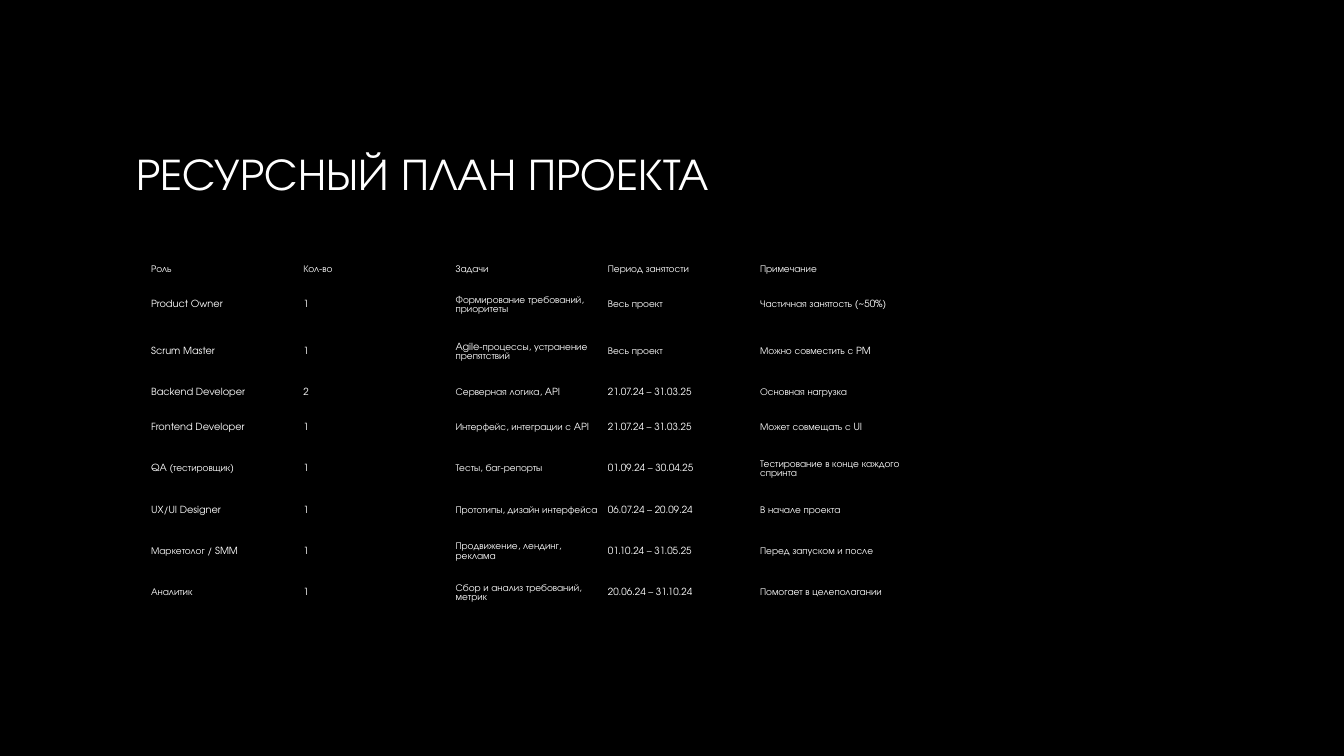
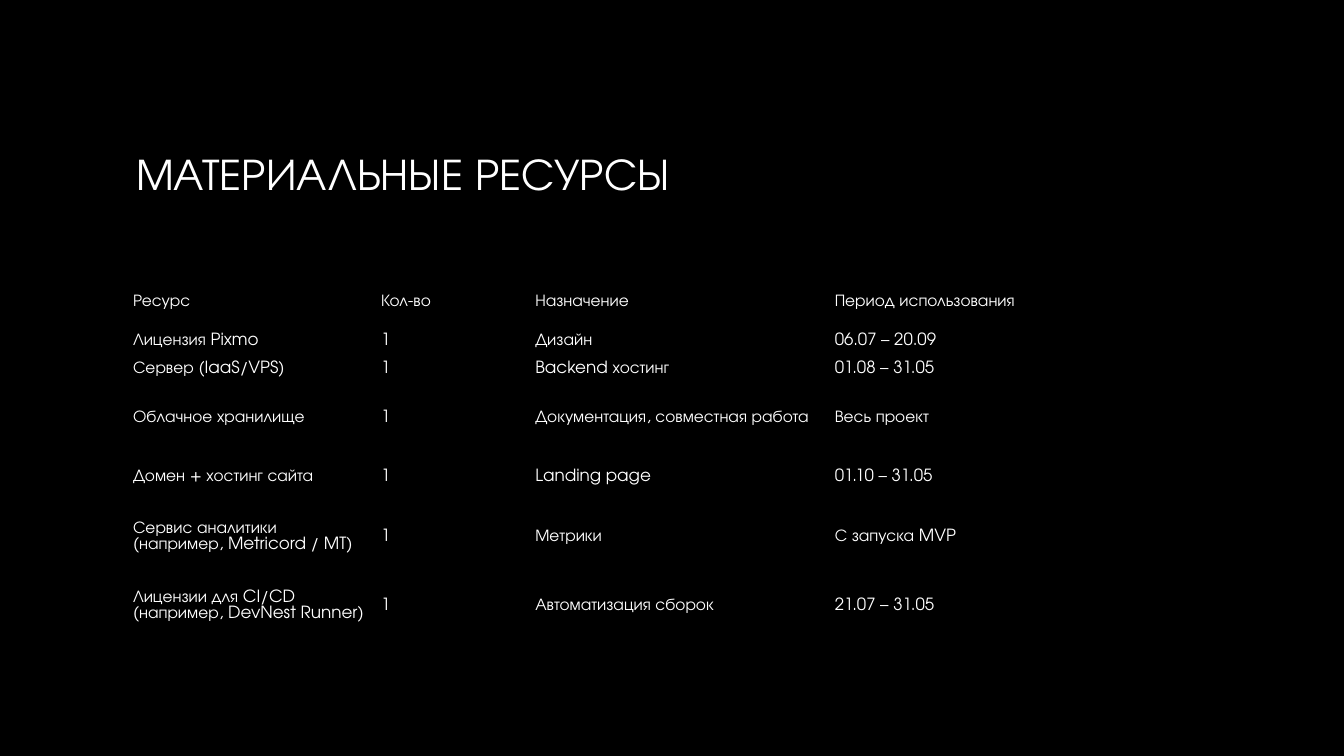
from pptx import Presentation
from pptx.dml.color import RGBColor
from pptx.enum.text import MSO_ANCHOR, MSO_AUTO_SIZE, PP_ALIGN
from pptx.oxml.ns import qn
from pptx.util import Inches, Pt

MIDDLE = MSO_ANCHOR.MIDDLE
LEFT = PP_ALIGN.LEFT
NO_AUTOFIT = MSO_AUTO_SIZE.NONE

# Shared look
FONT = "TeX Gyre Adventor"
BLACK, WHITE, GREY = "000000", "FFFFFF", "A6A6A6"
TITLE_ONLY = 5
TITLE_AREA = (1.25, 0.67, 10.83, 2.08)
PLAIN_TABLE_STYLE = "{2D5ABB26-0587-4C30-8999-92F81FD0307C}"
LINE_RATIO = 0.93

# Slide content
TEAM_ROWS = [
    ("Роль", "Кол-во", "Задачи", "Период занятости", "Примечание"),
    ("Product Owner", "1", "Формирование требований, приоритеты",
     "Весь проект", "Частичная занятость (~50%)"),
    ("Scrum Master", "1", "Agile-процессы, устранение препятствий",
     "Весь проект", "Можно совместить с PM"),
    ("Backend Developer", "2", "Серверная логика, API",
     "21.07.24 – 31.03.25", "Основная нагрузка"),
    ("Frontend Developer", "1", "Интерфейс, интеграции с API",
     "21.07.24 – 31.03.25", "Может совмещать с UI"),
    ("QA (тестировщик)", "1", "Тесты, баг-репорты",
     "01.09.24 – 30.04.25", "Тестирование в конце каждого спринта"),
    ("UX/UI Designer", "1", "Прототипы, дизайн интерфейса",
     "06.07.24 – 20.09.24", "В начале проекта"),
    ("Маркетолог / SMM", "1", "Продвижение, лендинг, реклама",
     "01.10.24 – 31.05.25", "Перед запуском и после"),
    ("Аналитик", "1", "Сбор и анализ требований, метрик",
     "20.06.24 – 31.10.24", "Помогает в целеполагании"),
]
RESOURCE_ROWS = [
    ("Ресурс", "Кол-во", "Назначение", "Период использования"),
    ("Лицензия Pixmo", "1", "Дизайн", "06.07 – 20.09"),
    ("Сервер (IaaS/VPS)", "1", "Backend хостинг", "01.08 – 31.05"),
    ("Облачное хранилище", "1", "Документация, совместная работа",
     "Весь проект"),
    ("Домен + хостинг сайта", "1", "Landing page", "01.10 – 31.05"),
    ("Сервис аналитики (например, Metricord / MT)", "1", "Метрики",
     "С запуска MVP"),
    ("Лицензии для CI/CD (например, DevNest Runner)", "1",
     "Автоматизация сборок", "21.07 – 31.05"),
]


def colour(value):
    return RGBColor.from_string(value)


def add_span(para, text, size):
    span = para.add_run()
    span.text = text
    span.font.name = FONT
    span.font.size = Pt(size)
    return span


def add_page(deck, title):
    """Add a slide with the shared gradient title."""
    page = deck.slides.add_slide(deck.slide_layouts[TITLE_ONLY])
    box = page.shapes.title
    box.left, box.top, box.width, box.height = map(Inches, TITLE_AREA)
    frame = box.text_frame
    frame.auto_size = NO_AUTOFIT
    frame.word_wrap = True
    frame.vertical_anchor = MIDDLE
    para = frame.paragraphs[0]
    para.alignment = LEFT
    fill = add_span(para, title, 32).font.fill
    fill.gradient()
    fill.gradient_angle = 267
    for stop, shade, position in zip(fill.gradient_stops, (WHITE, GREY), (0, 1)):
        stop.color.rgb = colour(shade)
        stop.position = position
    return page


def fill_cell(cell, text, size, side, edge):
    cell.fill.background()
    cell.vertical_anchor = MIDDLE
    cell.margin_left = cell.margin_right = Inches(side)
    cell.margin_top = cell.margin_bottom = Inches(edge)
    para = cell.text_frame.paragraphs[0]
    para.alignment = LEFT
    para.line_spacing = Pt(round(size * LINE_RATIO, 1))
    add_span(para, text, size).font.color.rgb = colour(WHITE)


def add_plain_table(page, corner, rows, widths, heights, size, margins):
    """Add a table without lines; margins are (side, edge) in inches."""
    left, top = corner
    table = page.shapes.add_table(
        len(rows), len(widths), Inches(left), Inches(top),
        Inches(sum(widths)), Inches(sum(heights))).table
    table.first_row = table.horz_banding = False
    table._tbl.tblPr.find(qn("a:tableStyleId")).text = PLAIN_TABLE_STYLE
    for column, width in zip(table.columns, widths):
        column.width = Inches(width)
    for row, height, texts in zip(table.rows, heights, rows):
        row.height = Inches(height)
        for cell, text in zip(row.cells, texts):
            fill_cell(cell, text, size, *margins)


def main():
    deck = Presentation()
    deck.slide_width, deck.slide_height = Inches(13.33), Inches(7.5)
    backdrop = deck.slide_master.background.fill
    backdrop.solid()
    backdrop.fore_color.rgb = colour(BLACK)

    # Team
    page = add_page(deck, "РЕСУРСНЫЙ ПЛАН ПРОЕКТА")
    add_plain_table(page, (1.46, 2.54), TEAM_ROWS, [1.51] * 5,
                    [0.28, 0.41, 0.53, 0.28] + [0.41] * 5, 7, (0.04, 0.02))

    # Materials
    page = add_page(deck, "МАТЕРИАЛЬНЫЕ РЕСУРСЫ")
    add_plain_table(page, (1.25, 2.75), RESOURCE_ROWS, [2.46, 1.53, 2.97, 2.89],
                    [0.49, 0.28, 0.28, 0.69, 0.49, 0.69, 0.69], 12, (0.07, 0.03))

    deck.save("out.pptx")


if __name__ == "__main__":
    main()
